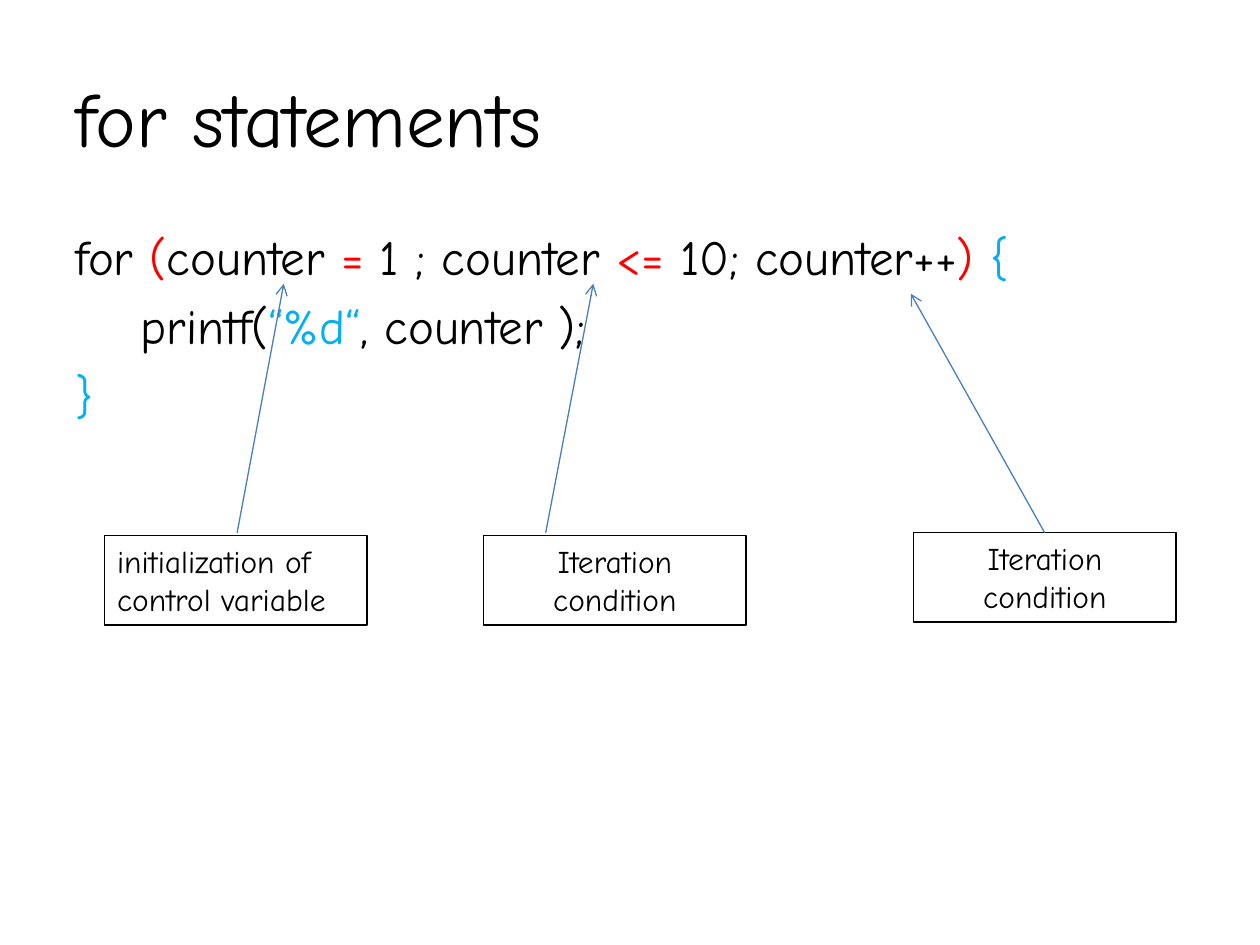
"""Build a slide that explains the parts of a C for statement."""
from typing import NamedTuple

from lxml.etree import SubElement
from pptx import Presentation
from pptx.dml.color import RGBColor
from pptx.enum.shapes import MSO_CONNECTOR, MSO_SHAPE
from pptx.enum.text import MSO_ANCHOR, PP_ALIGN
from pptx.oxml.ns import qn
from pptx.util import Cm, Pt

BLACK = RGBColor(0x00, 0x00, 0x00)
RED = RGBColor(0xFF, 0x00, 0x00)
CYAN = RGBColor(0x00, 0xB0, 0xF0)
BLUE = RGBColor(0x4B, 0x7E, 0xBC)
FONT = "Comic Neue"
LABEL_WIDTH, LABEL_HEIGHT = 5.29, 1.8
ARROW_START = 10.74


class Label(NamedTuple):
    text: str
    left: float
    top: float
    align: PP_ALIGN
    arrow_left: float
    target: tuple[float, float]


CODE = [
    [("for ", BLACK), ("(", RED), ("counter ", BLACK), ("=", RED),
     (" 1 ; counter ", BLACK), ("<= ", RED), ("10; counter++", BLACK),
     (") ", RED), ("{", CYAN)],
    [("    printf(", BLACK), ("“%d“", CYAN), (", counter );", BLACK)],
    [("}", CYAN)],
]
LABELS = [
    Label("initialization of control variable", 2.11, 10.8, PP_ALIGN.LEFT, 4.78, (5.72, 5.72)),
    Label("Iteration condition", 9.75, 10.8, PP_ALIGN.CENTER, 11, (11.96, 5.72)),
    Label("Iteration condition", 18.42, 10.74, PP_ALIGN.CENTER, 21.06, (18.36, 5.92)),
]


def write_text(shape, lines, *, size, align=PP_ALIGN.LEFT, anchor=MSO_ANCHOR.TOP, gap=0) -> None:
    """Fill a shape with lines of (text, colour) pieces."""
    frame = shape.text_frame
    frame.word_wrap = True
    frame.vertical_anchor = anchor
    for index, pieces in enumerate(lines):
        paragraph = frame.add_paragraph() if index else frame.paragraphs[0]
        paragraph.alignment = align
        paragraph.space_before = Pt(gap if index else 0)
        for text, colour in pieces:
            run = paragraph.add_run()
            run.text = text
            run.font.name = FONT
            run.font.size = Pt(size)
            run.font.color.rgb = colour


def draw_label(slide, label: Label) -> None:
    """Draw an outlined label box."""
    shape = slide.shapes.add_shape(MSO_SHAPE.RECTANGLE, Cm(label.left), Cm(label.top),
                                   Cm(LABEL_WIDTH), Cm(LABEL_HEIGHT))
    shape.shadow.inherit = False
    shape.fill.background()
    shape.line.color.rgb = BLACK
    shape.line.width = Pt(0.75)
    write_text(shape, [[(label.text, BLACK)]], size=18, align=label.align)


def draw_arrow(slide, label: Label) -> None:
    """Draw the arrow from a label to its part of the code."""
    right, top = label.target
    connector = slide.shapes.add_connector(MSO_CONNECTOR.STRAIGHT, Cm(label.arrow_left),
                                           Cm(ARROW_START), Cm(right), Cm(top))
    connector.line.color.rgb = BLUE
    connector.line.width = Pt(0.75)
    properties = connector._element.spPr
    SubElement(properties.find(qn("a:ln")), qn("a:tailEnd"), type="arrow")
    SubElement(properties, qn("a:effectLst"))


def main() -> None:
    """Build and save the presentation."""
    presentation = Presentation()
    presentation.slide_width, presentation.slide_height = Cm(25.4), Cm(19.05)
    slide = presentation.slides.add_slide(presentation.slide_layouts[6])
    title = slide.shapes.add_textbox(Cm(1.27), Cm(0.76), Cm(22.86), Cm(3.18))
    write_text(title, [[("for statements", BLACK)]], size=44, anchor=MSO_ANCHOR.MIDDLE)
    code = slide.shapes.add_textbox(Cm(1.27), Cm(4.45), Cm(23.29), Cm(5.28))
    write_text(code, CODE, size=28, gap=5.6)
    for label in LABELS:
        draw_label(slide, label)
    for label in LABELS:
        draw_arrow(slide, label)
    presentation.save("out.pptx")


if __name__ == "__main__":
    main()
